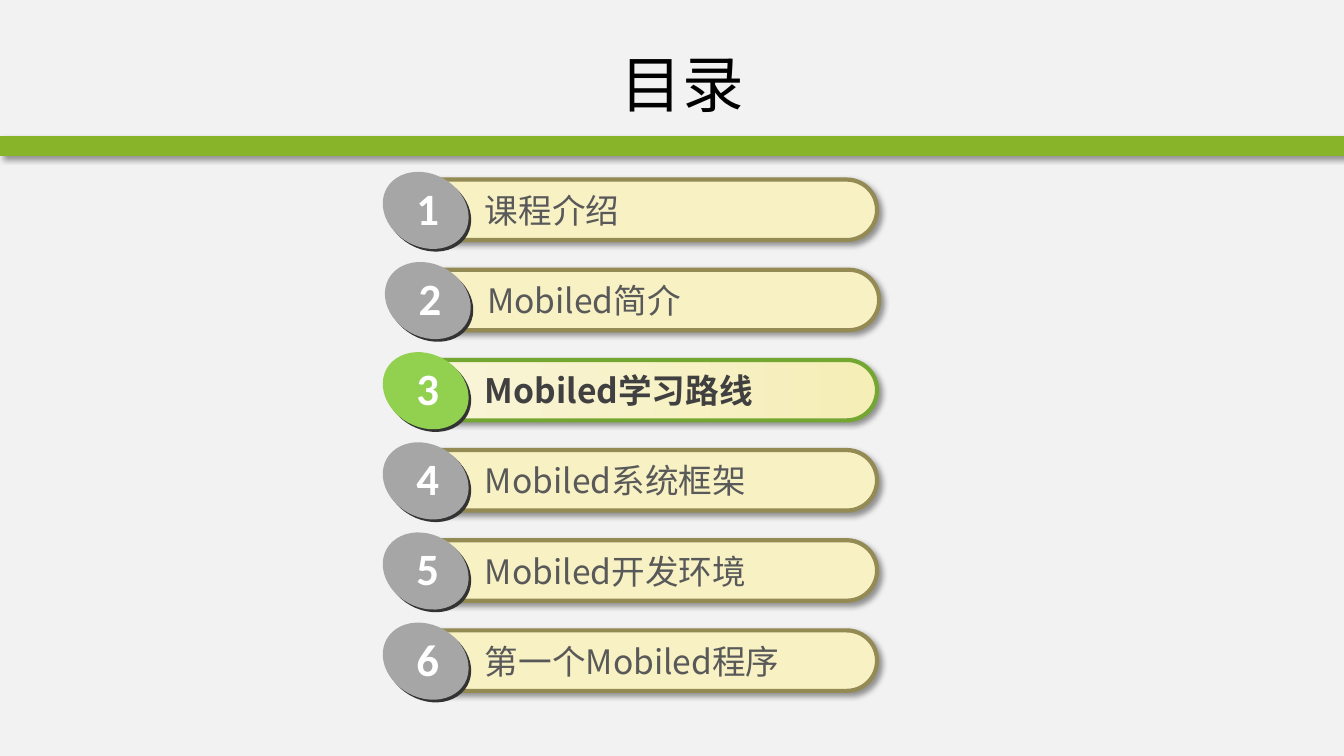
from lxml.etree import SubElement
from pptx import Presentation
from pptx.dml.color import RGBColor
from pptx.enum.shapes import MSO_SHAPE
from pptx.enum.text import MSO_ANCHOR, MSO_AUTO_SIZE, PP_ALIGN
from pptx.oxml.ns import qn
from pptx.util import Pt

COLORS = {
    "background": "F2F2F2", "band": "88B429", "title": "000000",
    "bar": "F7F1C4", "bar_line": "948A54", "label": "595959",
    "badge": "A6A6A6", "badge_edge": "333333", "number": "FFFFFF",
    "active_start": "F9F5D9", "active_end": "F5EEB7",
    "active_line": "74A731", "active_label": "404040",
    "active_badge": "92D050", "shadow": "000000",
}
CJK_FONT = "Noto Sans CJK SC"
NUMBER_FONT = "Calibri"

TOPICS = ["课程介绍", "Mobiled简介", "Mobiled学习路线",
          "Mobiled系统框架", "Mobiled开发环境", "第一个Mobiled程序"]
ACTIVE = 3
ROW_LEFT, ROW_TOP, ROW_PITCH = 287.5, 128.3, 64.4
SECOND_ROW_SHIFT = 1.5


def color(name):
    return RGBColor.from_string(COLORS[name])


def write_text(frame, text, *, size, font, fill, bold=False,
               align=PP_ALIGN.LEFT, anchor=MSO_ANCHOR.TOP):
    frame.vertical_anchor = anchor
    paragraph = frame.paragraphs[0]
    paragraph.alignment = align
    run = paragraph.add_run()
    run.text = text
    run.font.size = Pt(size)
    run.font.bold = bold
    run.font.name = font
    run.font.color.rgb = color(fill)
    # East Asian glyphs take their own typeface
    SubElement(run.font._element, qn("a:ea"), typeface=font)


def add_text_box(shapes, text, left, top, width, height, *, wrap=True, **style):
    box = shapes.add_textbox(Pt(left), Pt(top), Pt(width), Pt(height))
    box.text_frame.word_wrap = wrap
    box.text_frame.auto_size = MSO_AUTO_SIZE.SHAPE_TO_FIT_TEXT
    write_text(box.text_frame, text, **style)


def add_filled_shape(shapes, kind, left, top, width, height, fill, line=None):
    shape = shapes.add_shape(kind, Pt(left), Pt(top), Pt(width), Pt(height))
    shape.fill.solid()
    shape.fill.fore_color.rgb = color(fill)
    if line:
        shape.line.color.rgb = color(line)
        shape.line.width = Pt(3)
    else:
        shape.line.fill.background()
    shape.shadow.inherit = False
    return shape


def add_shadow(shape):
    effects = shape._element.spPr.find(qn("a:effectLst"))
    shadow = SubElement(effects, qn("a:outerShdw"), blurRad=str(Pt(4)),
                        dist=str(Pt(3)), dir=str(45 * 60000),
                        algn="tl", rotWithShape="0")
    shade = SubElement(shadow, qn("a:srgbClr"), val=COLORS["shadow"])
    SubElement(shade, qn("a:alpha"), val="40000")


def add_topic(slide, number, topic):
    active = number == ACTIVE
    left = ROW_LEFT + (SECOND_ROW_SHIFT if number == 2 else 0)
    top = ROW_TOP + (number - 1) * ROW_PITCH
    shapes = slide.shapes.add_group_shape().shapes

    # Rounded bar with its label
    bar = add_filled_shape(shapes, MSO_SHAPE.ROUNDED_RECTANGLE, left, top,
                           339, 43.2, "bar",
                           "active_line" if active else "bar_line")
    bar.adjustments[0] = 0.5
    if active:
        bar.fill.gradient()
        bar.fill.gradient_angle = 0
        for stop, name in zip(bar.fill.gradient_stops,
                              ("active_start", "active_end")):
            stop.color.rgb = color(name)
    add_shadow(bar)
    add_text_box(shapes, topic, left + 51.8, top + 3.8, 270, 36.7,
                 size=24, font=CJK_FONT, bold=active,
                 fill="active_label" if active else "label")

    # Tilted badge over its dark edge, with the number
    face = "active_badge" if active else "badge"
    for dx, dy, fill in ((-13.6, -2.1, "badge_edge"), (-15.4, -4, face)):
        oval = add_filled_shape(shapes, MSO_SHAPE.OVAL, left + dx, top + dy,
                                64, 52, fill)
        oval.rotation = 29.3
    add_text_box(shapes, str(number), left + 2.9, top - 2.9, 31, 46, wrap=False,
                 size=32, font=NUMBER_FONT, fill="number", bold=True)


def main():
    presentation = Presentation()
    presentation.slide_width, presentation.slide_height = Pt(960), Pt(540)
    slide = presentation.slides.add_slide(presentation.slide_layouts[5])
    slide.background.fill.solid()
    slide.background.fill.fore_color.rgb = color("background")

    # Title and the band below it
    title = slide.shapes.title
    title.left, title.top = Pt(100), Pt(21.6)
    title.width, title.height = Pt(775), Pt(75.6)
    write_text(title.text_frame, "目录", size=44, font=CJK_FONT, fill="title",
               align=PP_ALIGN.CENTER, anchor=MSO_ANCHOR.MIDDLE)
    band = add_filled_shape(slide.shapes, MSO_SHAPE.RECTANGLE,
                            0, 97.2, 960, 14.2, "band")
    add_shadow(band)

    # Numbered topics
    for number, topic in enumerate(TOPICS, start=1):
        add_topic(slide, number, topic)

    presentation.save("out.pptx")


if __name__ == "__main__":
    main()
